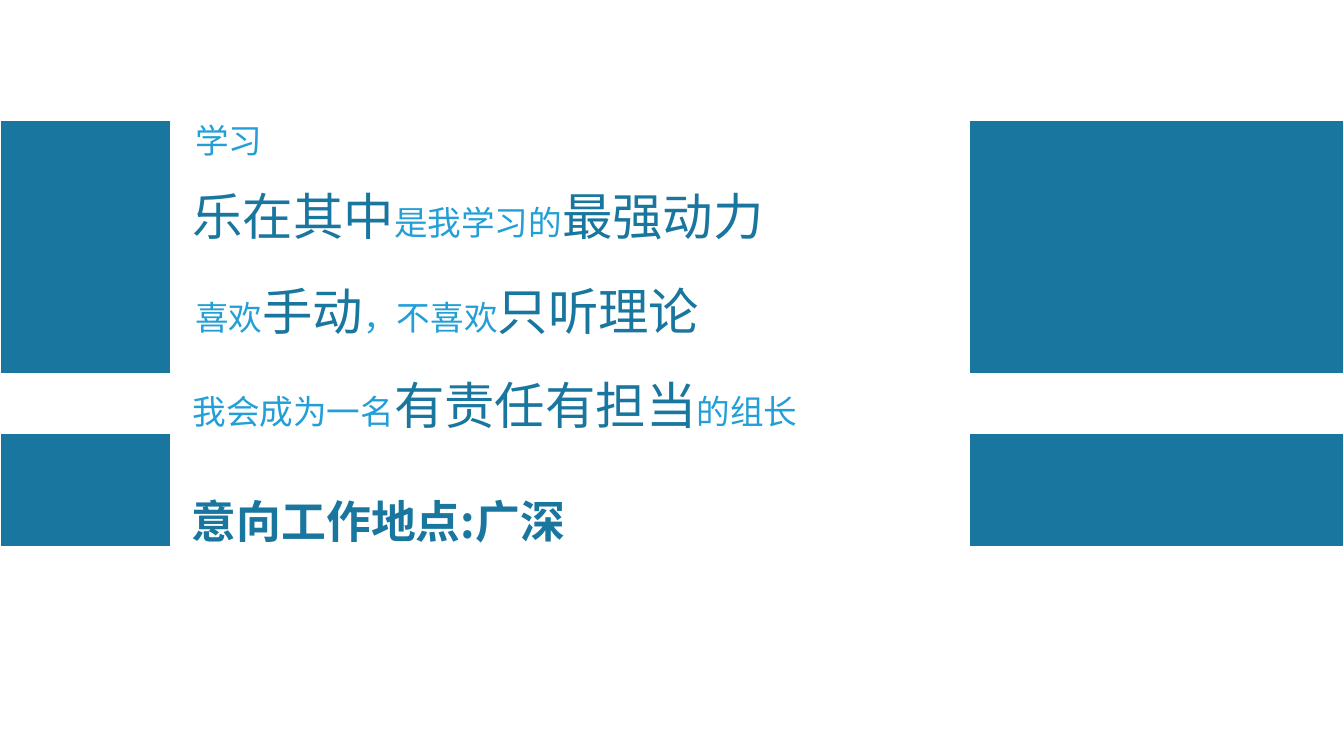
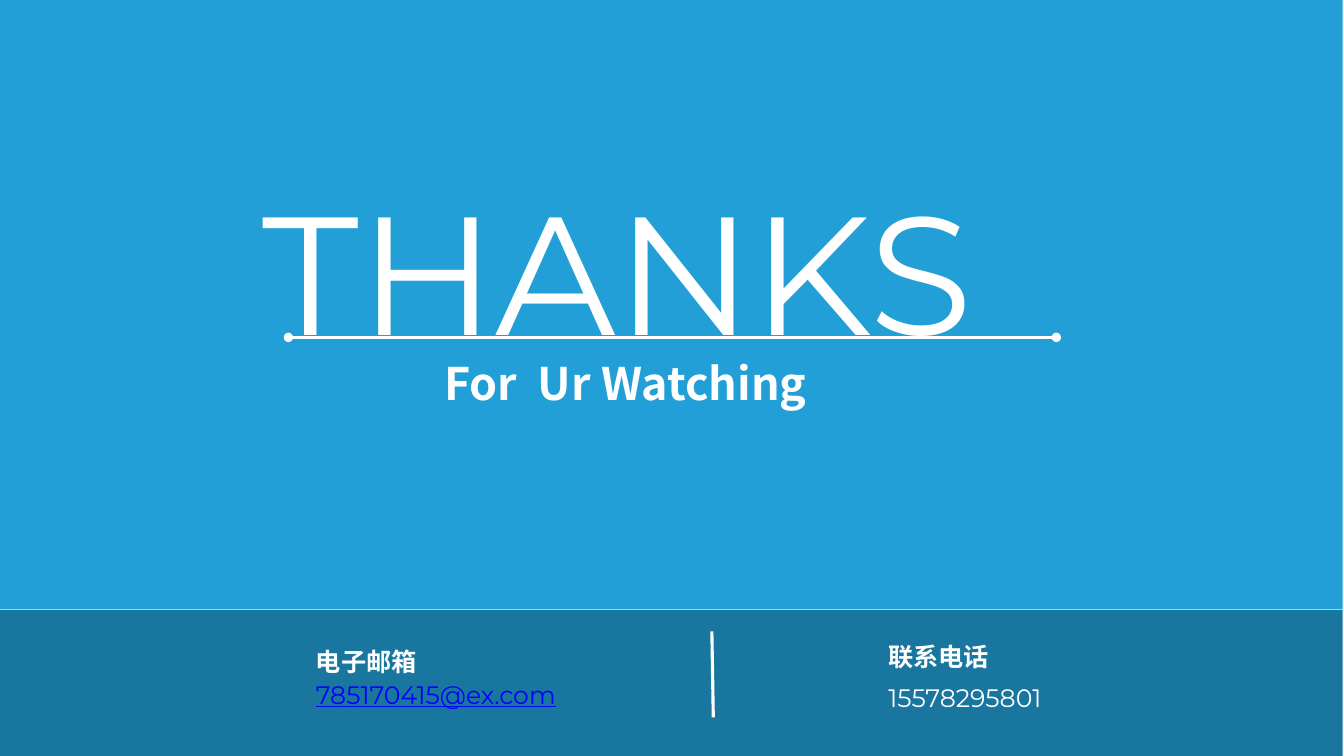
"""Build a slide about learning and a closing slide with contact details."""
from lxml.etree import SubElement
from pptx import Presentation
from pptx.dml.color import RGBColor
from pptx.enum.shapes import MSO_CONNECTOR as LINK, MSO_SHAPE as SHAPE
from pptx.enum.text import MSO_AUTO_SIZE as FIT
from pptx.oxml.ns import qn
from pptx.util import Pt

DARK = RGBColor(0x19, 0x76, 0x9F)
LIGHT = RGBColor(0x22, 0x9F, 0xD7)
WHITE = RGBColor(0xFF, 0xFF, 0xFF)
BLUE = RGBColor(0x00, 0x00, 0xFF)
HAN = "Noto Sans CJK SC"
LATIN = "Montserrat"
WIDTH, HEIGHT = 960, 540


def block(slide, left, top, width, height, fill, edge=None):
    box = slide.shapes.add_shape(SHAPE.RECTANGLE, Pt(left), Pt(top), Pt(width), Pt(height))
    box.shadow.inherit = False
    box.fill.solid()
    box.fill.fore_color.rgb = fill
    if edge is None:
        box.line.fill.background()
    else:
        box.line.color.rgb = edge
        box.line.width = Pt(1)


def write(slide, left, top, width, height, runs, font=HAN, bold=False, inset=0, under=False):
    frame = slide.shapes.add_textbox(Pt(left), Pt(top), Pt(width), Pt(height)).text_frame
    frame.word_wrap = True
    frame.auto_size = FIT.SHAPE_TO_FIT_TEXT
    frame.margin_left = frame.margin_right = Pt(inset)
    frame.margin_top = frame.margin_bottom = Pt(inset)
    for text, size, color in runs:
        run = frame.paragraphs[0].add_run()
        run.text = text
        run.font.size = Pt(size)
        run.font.color.rgb = color
        run.font.bold = bold
        run.font.underline = under
        run.font.name = font
        SubElement(run.font._element, qn("a:ea"), typeface=font)


deck = Presentation()
deck.slide_width, deck.slide_height = Pt(WIDTH), Pt(HEIGHT)
blank = deck.slide_layouts[6]

study = deck.slides.add_slide(blank)
for top, height in ((86, 181), (309.6, 81)):
    for left, right in ((0, 122), (692.6, WIDTH)):
        block(study, left, top, right - left, height, DARK, WHITE)

SMALL, LARGE = (24, LIGHT), (36, DARK)
lines = [
    (139.5, 86, 200, 33, [("学习", *SMALL)]),
    (137.5, 132.5, 461, 50, [
        ("乐在其中", *LARGE), ("是我学习的", *SMALL), ("最强动力", *LARGE)]),
    (139.5, 200, 406, 50, [
        ("喜欢", *SMALL), ("手动", *LARGE), ("，不喜欢", *SMALL), ("只听理论", *LARGE)]),
    (137.5, 267, 494, 50, [
        ("我会成为一名", *SMALL), ("有责任有担当", *LARGE), ("的组长", *SMALL)]),
]
for line in lines:
    write(study, *line)
write(study, 137, 353, 287, 45, [("意向工作地点:广深", 32, DARK)], bold=True)

close = deck.slides.add_slide(blank)
block(close, -1, -1, WIDTH, 436, LIGHT)
block(close, -1, 435.5, WIDTH, 104.5, DARK)
write(close, 184, 116, 592, 176, [("THANKS", 120, WHITE)], LATIN, inset=3.6)
write(close, 314, 250.5, 333, 45, [("For  Ur Watching", 32, WHITE)], bold=True, inset=3.6)

for left, top, right, low, dots in (
    (206, 241, 754.5, 241, True),
    (508.5, 451, 509.5, 512.5, False),
):
    rule = close.shapes.add_connector(LINK.STRAIGHT, Pt(left), Pt(top), Pt(right), Pt(low))
    rule.line.color.rgb = WHITE
    rule.line.width = Pt(2.25)
    if dots:
        for end in ("a:headEnd", "a:tailEnd"):
            SubElement(rule.line._get_or_add_ln(), qn(end), type="oval")
    SubElement(rule._element.spPr, qn("a:effectLst"))

write(close, 634.5, 458, 89, 25, [("联系电话", 18, WHITE)], bold=True)
write(close, 634.5, 487.5, 151, 26, [("15578295801", 18, WHITE)], LATIN)
write(close, 222, 458, 95, 32, [("电子邮箱", 18, WHITE)], bold=True, inset=3.6)
write(close, 222, 481.5, 220, 33, [("785170415@ex.com", 18, BLUE)], LATIN, inset=3.6, under=True)

deck.save("out.pptx")
